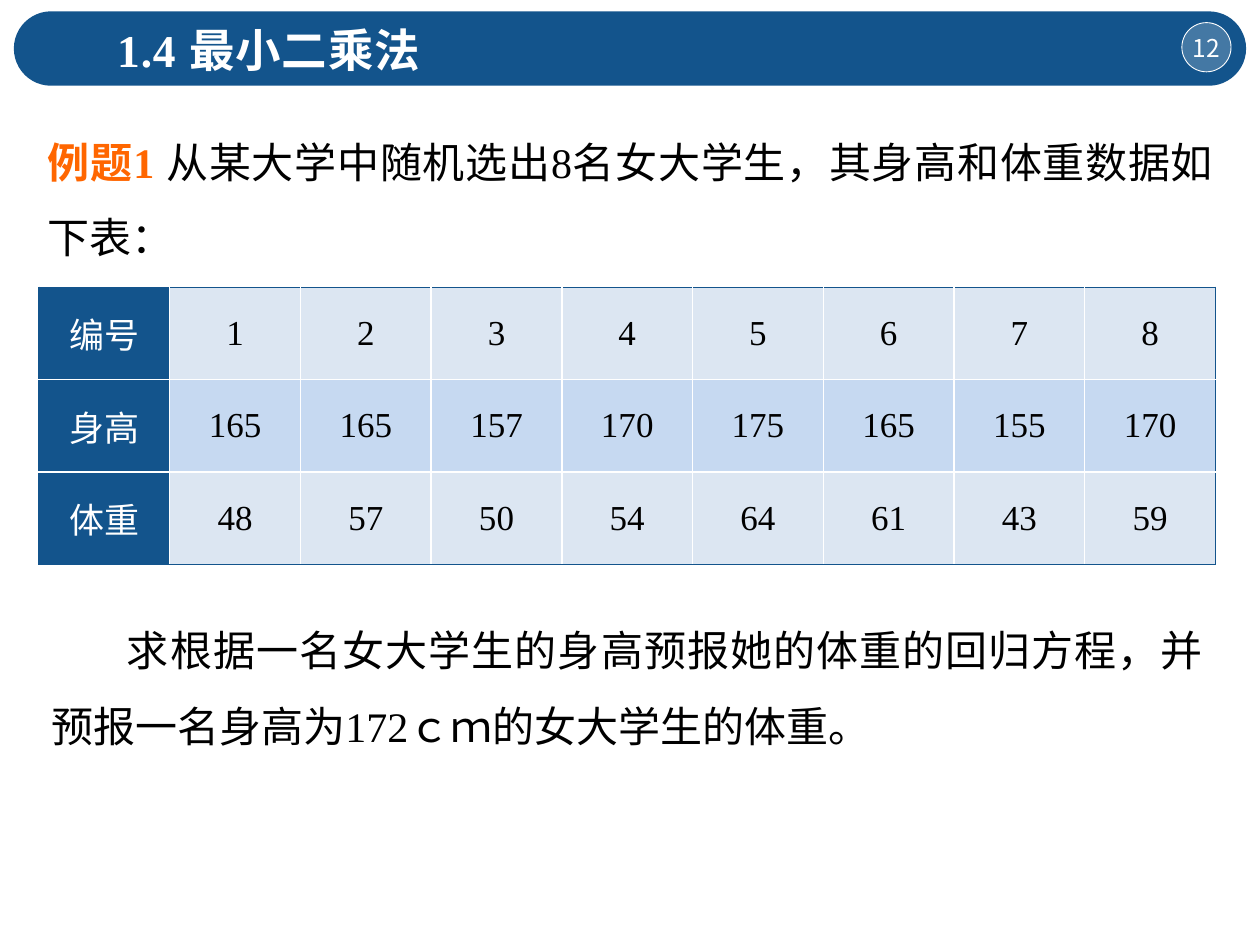
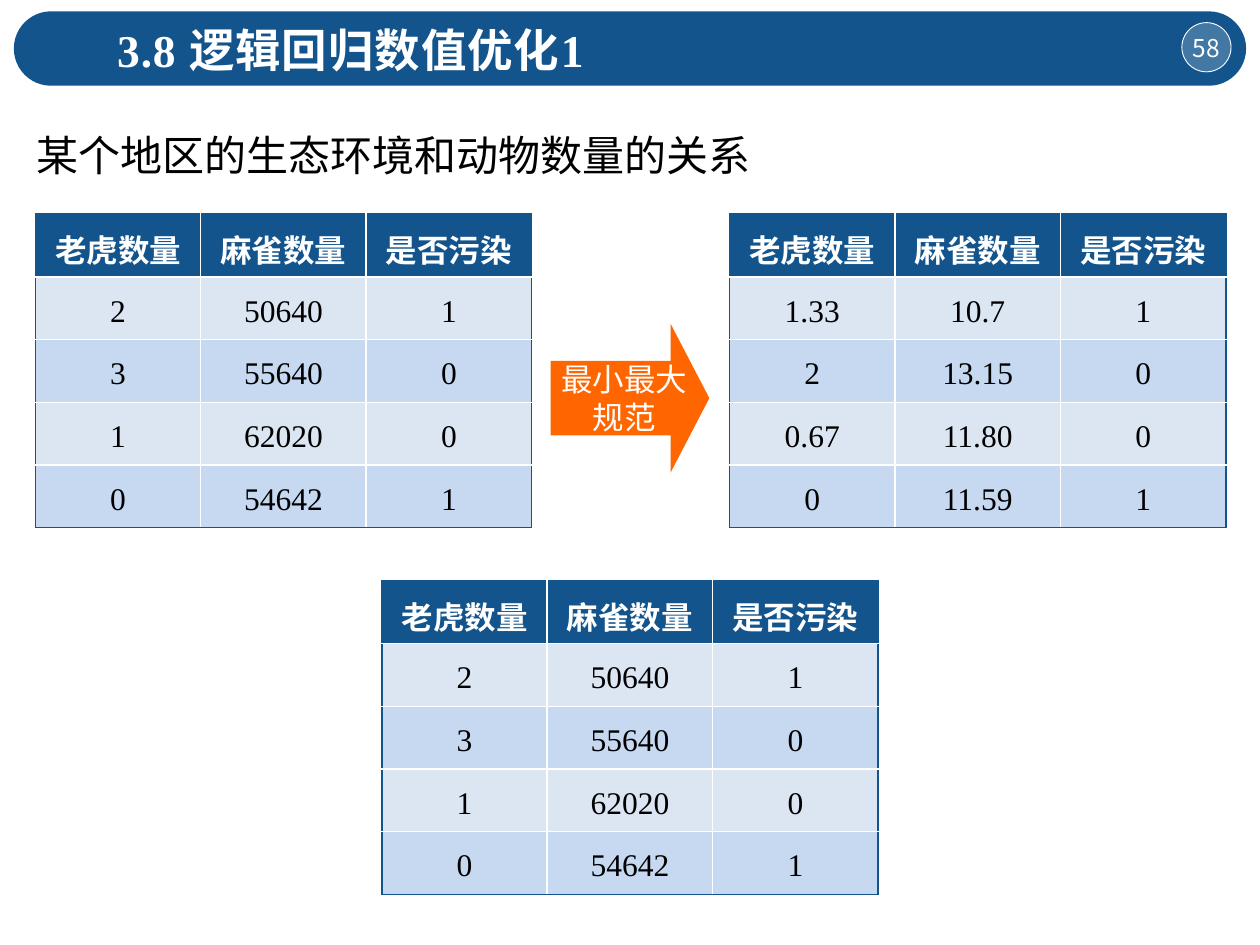
from lxml.etree import SubElement
from pptx import Presentation
from pptx.dml.color import RGBColor
from pptx.enum.shapes import MSO_SHAPE as Geo
from pptx.enum.text import MSO_ANCHOR as Anchor, MSO_AUTO_SIZE as Fit, PP_ALIGN as Align
from pptx.oxml.ns import qn
from pptx.util import Pt

PX = 9144
INK = {"navy": "13548C", "orange": "FF6600", "white": "FFFFFF", "black": "000000",
       "pale": "DCE6F2", "sky": "C6D9F1"}
SERIF, SANS = "Times New Roman", "Noto Sans CJK SC"


def emu(*sizes):
    return [size * PX for size in sizes]


def tint(name):
    return RGBColor.from_string(INK[name])


def write(para, text, size=24, ink="black", bold=False, font=SERIF, gap=0):
    run = para.add_run()
    run.text = text
    run.font.size = Pt(size)
    run.font.bold = bold
    run.font.name = font
    run.font.color.rgb = tint(ink)
    props = run._r.get_or_add_rPr()
    SubElement(props, qn("a:ea")).set("typeface", SANS)
    if gap:
        props.set("spc", str(gap))


class Deck:
    def __init__(self):
        self.show = Presentation()
        self.show.slide_width, self.show.slide_height = emu(1000, 750)
        self.slide = None

    def page(self, title, number):
        self.slide = self.show.slides.add_slide(self.show.slide_layouts[1])
        band = self.shape(Geo.ROUNDED_RECTANGLE, (11, 9, 978, 59), "navy")
        band.adjustments[0] = 0.5
        self.badge(number)
        head = self.slide.shapes.title
        self.slide.shapes._spTree.append(head._element)
        para = self.frame(head, (83, 12, 742, 54), anchor=Anchor.MIDDLE)
        write(para, title, size=26, ink="white", bold=True, gap=50)

    def frame(self, shape, box, pad=(10, 5, 10, 5), anchor=Anchor.TOP,
              align=Align.LEFT, wrap=True):
        shape.left, shape.top, shape.width, shape.height = emu(*box)
        frame = shape.text_frame
        frame.auto_size = Fit.NONE
        frame.word_wrap = wrap
        frame.vertical_anchor = anchor
        (frame.margin_left, frame.margin_top,
         frame.margin_right, frame.margin_bottom) = emu(*pad)
        para = frame.paragraphs[0]
        para.alignment = align
        para.space_before = Pt(0)
        return para

    def shape(self, kind, box, ink):
        shape = self.slide.shapes.add_shape(kind, *emu(*box))
        shape.shadow.inherit = False
        shape.fill.solid()
        shape.fill.fore_color.rgb = tint(ink)
        shape.line.fill.background()
        return shape

    def badge(self, number):
        box = (938, 18, 39, 39)
        disc = self.shape(Geo.OVAL, box, "white")
        color = disc._element.spPr.find(".//" + qn("a:srgbClr"))
        SubElement(color, qn("a:alpha")).set("val", "21000")
        disc.line.color.rgb = tint("white")
        disc.line.width = Pt(0.5)
        para = self.frame(disc, box, (0, 0, 0, 0), Anchor.MIDDLE, Align.CENTER, False)
        write(para, number, size=14, ink="white", font=SANS)

    def arrow(self, text, box):
        arrow = self.shape(Geo.RIGHT_ARROW, box, "orange")
        arrow.adjustments[1] = 0.26
        para = self.frame(arrow, box, (6, 0, 0, 0), Anchor.MIDDLE, Align.CENTER)
        write(para, text, size=18, ink="white")

    def prose(self, shape, box, indent=0, **style):
        para = self.frame(shape, box, **style)
        props = para._p.get_or_add_pPr()
        props.set("marL", "0")
        props.set("indent", str(indent * PX))
        SubElement(props, qn("a:buNone"))
        para.line_spacing = 1.5
        return para

    def body(self, box, **style):
        return self.prose(self.slide.placeholders[1], box, **style)

    def note(self, box, **style):
        return self.prose(self.slide.shapes.add_textbox(*emu(*box)), box, **style)

    def edge(self, cell, side, ink):
        line = SubElement(cell._tc.get_or_add_tcPr(), qn("a:ln" + side), w=str(Pt(1)))
        fill = SubElement(line, qn("a:solidFill"))
        SubElement(fill, qn("a:srgbClr")).set("val", INK[ink])

    def table(self, rows, box, side=False, size=18, pad=(0, 5, 0, 0)):
        high, wide = len(rows), len(rows[0])
        grid = self.slide.shapes.add_table(high, wide, *emu(*box)).table
        grid.first_row = grid.horz_banding = False
        for y, row in enumerate(rows):
            for x, text in enumerate(row):
                cell = grid.cell(y, x)
                outer = {"L": x == 0, "R": x == wide - 1, "T": y == 0, "B": y == high - 1}
                for name, rim in outer.items():
                    self.edge(cell, name, "navy" if rim else "white")
                head = x == 0 if side else y == 0
                shade = "pale" if y % 2 != side else "sky"
                cell.fill.solid()
                cell.fill.fore_color.rgb = tint("navy" if head else shade)
                cell.vertical_anchor = Anchor.MIDDLE
                (cell.margin_left, cell.margin_top,
                 cell.margin_right, cell.margin_bottom) = emu(*pad)
                para = cell.text_frame.paragraphs[0]
                para.alignment = Align.CENTER
                write(para, text, size=size, ink="white" if head else "black",
                      bold=head and not side)


def sample(deck):
    deck.page("1.4 最小二乘法", "12")
    para = deck.body((28, 83, 945, 124), align=Align.JUSTIFY)
    write(para, "例题1 ", ink="orange", bold=True)
    write(para, "从某大学中随机选出8名女大学生，其身高和体重数据如下表：")
    rows = [
        ["编号", *"12345678"],
        ["身高", "165", "165", "157", "170", "175", "165", "155", "170"],
        ["体重", "48", "57", "50", "54", "64", "61", "43", "59"],
    ]
    deck.table(rows, (31, 228, 934, 220), side=True, size=20, pad=(10, 5, 10, 5))
    para = deck.note((31, 471, 934, 124), indent=60, align=Align.JUSTIFY)
    write(para, "求根据一名女大学生的身高预报她的体重的回归方程，"
                "并预报一名身高为172ｃｍ的女大学生的体重。")


def scale(deck):
    deck.page("3.8 逻辑回归数值优化1", "58")
    para = deck.body((28, 83, 666, 53), pad=(1, 0, 0, 0))
    write(para, "某个地区的生态环境和动物数量的关系")
    head = ["老虎数量", "麻雀数量", "是否污染"]
    raw = [head, ["2", "50640", "1"], ["3", "55640", "0"],
           ["1", "62020", "0"], ["0", "54642", "1"]]
    norm = [head, ["1.33", "10.7", "1"], ["2", "13.15", "0"],
            ["0.67", "11.80", "0"], ["0", "11.59", "1"]]
    for rows, left, top in ((raw, 28, 170), (norm, 579, 170), (raw, 303, 461)):
        deck.table(rows, (left, top, 394, 249))
    deck.arrow("最小最大规范", (437, 257, 126, 118))


def main():
    deck = Deck()
    sample(deck)
    scale(deck)
    deck.show.save("out.pptx")


if __name__ == "__main__":
    main()
